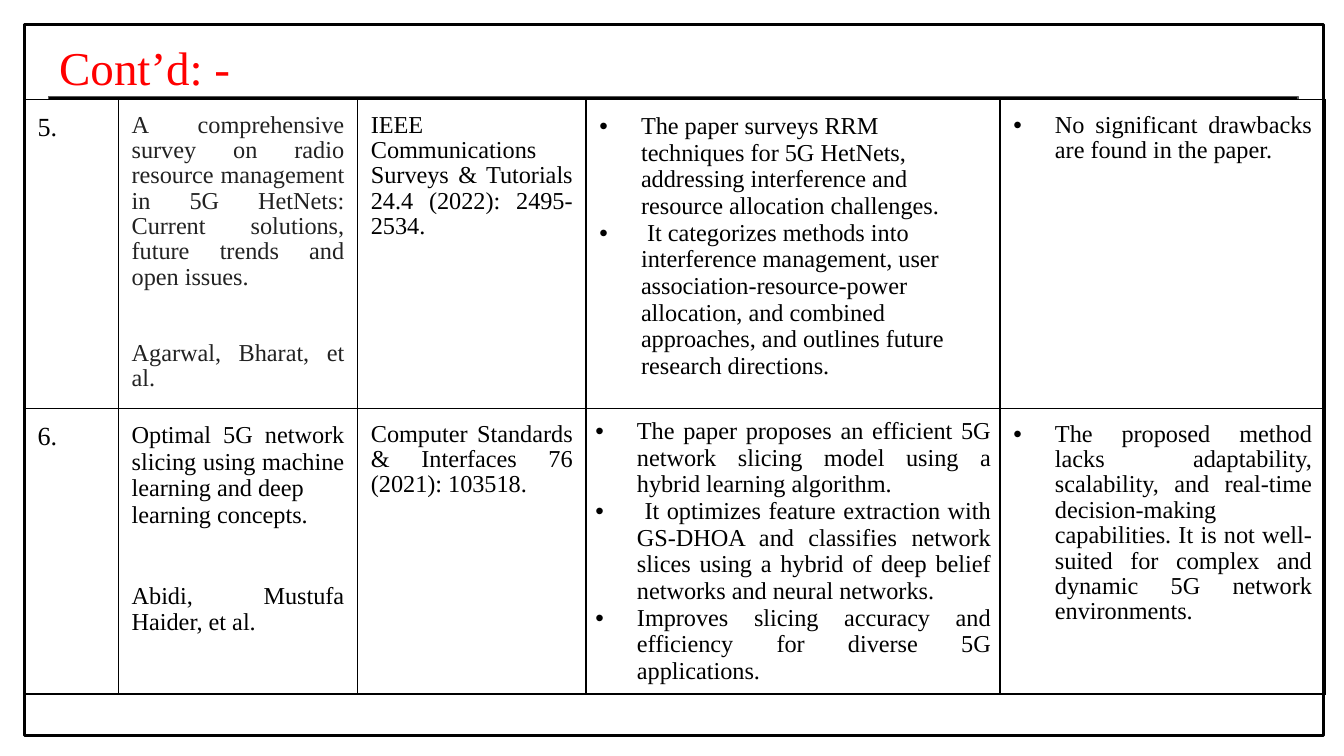
from lxml import etree
from pptx import Presentation
from pptx import util as u
from pptx.dml.color import RGBColor
from pptx.enum import shapes, text
from pptx.oxml import ns

BLACK = RGBColor(0x00, 0x00, 0x00)
DARK = RGBColor(0x22, 0x22, 0x22)
GRAY = RGBColor(0x59, 0x59, 0x59)
RED = RGBColor(0xFF, 0x00, 0x00)
FONT = "Times New Roman"
LEFT, JUSTIFY = text.PP_ALIGN.LEFT, text.PP_ALIGN.JUSTIFY
PAGE_WIDTH = 10
PAGE_HEIGHT = PAGE_WIDTH * 9 / 16

# Content: one dict per cell
TITLE = "Cont’d: -"
ROWS = [
    [
        {"lines": ["5."], "size": 14},
        {"lines": ["A comprehensive survey on radio resource management in 5G HetNets: "
                   "Current solutions, future trends and open issues.",
                   "Agarwal, Bharat, et al. "],
         "align": JUSTIFY, "spacing": 0.95, "color": DARK, "author_gap": 27},
        {"lines": ["IEEE Communications Surveys & Tutorials 24.4 (2022): 2495-2534."],
         "align": JUSTIFY, "spacing": 0.95, "after": 12},
        {"lines": ["The paper surveys RRM techniques for 5G HetNets, addressing "
                   "interference and resource allocation challenges.",
                   " It categorizes methods into interference management, user "
                   "association-resource-power allocation, and combined approaches, "
                   "and outlines future research directions."],
         "bullet": True},
        {"lines": ["No significant drawbacks are found in the paper."],
         "align": JUSTIFY, "spacing": 0.95, "after": 12, "bullet": True},
    ],
    [
        {"lines": ["6."], "size": 14},
        {"lines": ["Optimal 5G network slicing using machine learning and deep",
                   "learning concepts.",
                   "Abidi, Mustufa Haider, et al."],
         "align": JUSTIFY, "author_gap": 29},
        {"lines": ["Computer Standards & Interfaces 76 (2021): 103518."],
         "align": JUSTIFY, "spacing": 0.95, "after": 12},
        {"lines": ["The paper proposes an efficient 5G network slicing model using a "
                   "hybrid learning algorithm.",
                   " It optimizes feature extraction with GS-DHOA and classifies network "
                   "slices using a hybrid of deep belief networks and neural networks.",
                   "Improves slicing accuracy and efficiency for diverse 5G applications."],
         "align": JUSTIFY, "bullet": True, "margin": 0.07},
        {"lines": ["The proposed method lacks adaptability, scalability, and real-time "
                   "decision-making capabilities. It is not well-suited for complex and "
                   "dynamic 5G network environments."],
         "align": JUSTIFY, "spacing": 0.95, "after": 12, "bullet": True},
    ],
]
COLUMN_WIDTHS = [0.7, 1.78, 1.7, 3.08, 2.42]
ROW_HEIGHTS = [2.3, 2.05]


def style_runs(para, size, color):
    for span in para.runs:
        span.font.name = FONT
        span.font.size = u.Pt(size)
        span.font.color.rgb = color


def set_margins(target, inches):
    for side in ("left", "top", "right", "bottom"):
        setattr(target, f"margin_{side}", u.Inches(inches))


def add_bullet(para):
    props = para._p.get_or_add_pPr()
    props.set("marL", str(u.Inches(0.31)))
    props.set("indent", str(-u.Inches(0.31)))
    color = etree.SubElement(props, ns.qn("a:buClr"))
    etree.SubElement(color, ns.qn("a:srgbClr"), val=str(BLACK))
    etree.SubElement(props, ns.qn("a:buFont"), typeface="Arial")
    etree.SubElement(props, ns.qn("a:buChar"), char="•")


def add_borders(cell):
    props = cell._tc.get_or_add_tcPr()
    for index, side in enumerate(("lnL", "lnR", "lnT", "lnB")):
        line = etree.Element(ns.qn(f"a:{side}"), w=str(u.Pt(0.75)))
        fill = etree.SubElement(line, ns.qn("a:solidFill"))
        etree.SubElement(fill, ns.qn("a:srgbClr"), val=str(BLACK))
        props.insert(index, line)


def fill_cell(cell, content):
    cell.fill.background()
    add_borders(cell)
    set_margins(cell, content.get("margin", 0.1))
    cell.text_frame.text = "\n".join(content["lines"])
    paras = cell.text_frame.paragraphs
    for para in paras:
        para.alignment = content.get("align", LEFT)
        para.line_spacing = content.get("spacing", 1.0)
        para.space_after = u.Pt(content.get("after", 0))
        style_runs(para, content.get("size", 13), content.get("color", BLACK))
        if content.get("bullet"):
            add_bullet(para)
    if "author_gap" in content:
        paras[-1].space_before = u.Pt(content["author_gap"])


def add_box(page, left, top, width, height, line_color, line_width):
    box = page.shapes.add_shape(
        shapes.MSO_SHAPE.RECTANGLE,
        u.Inches(left), u.Inches(top), u.Inches(width), u.Inches(height))
    box.shadow.inherit = False
    box.fill.background()
    box.line.color.rgb = line_color
    box.line.width = u.Pt(line_width)
    return box


def main():
    deck = Presentation()
    deck.slide_width = u.Inches(PAGE_WIDTH)
    deck.slide_height = u.Inches(PAGE_HEIGHT)
    page = deck.slides.add_slide(deck.slide_layouts[5])

    # Title and the rule under it
    title = page.shapes.title
    title.left, title.top = u.Inches(0.34), u.Inches(0.18)
    title.width, title.height = u.Inches(9.32), u.Inches(0.63)
    frame = title.text_frame
    frame.text = TITLE
    frame.auto_size = text.MSO_AUTO_SIZE.NONE
    frame.vertical_anchor = text.MSO_ANCHOR.MIDDLE
    set_margins(frame, 0.1)
    frame.paragraphs[0].alignment = LEFT
    style_runs(frame.paragraphs[0], 25.2, RED)
    rule = add_box(page, 0.36, 0.72, 9.3, 0.02, GRAY, 0.75)
    rule.fill.solid()
    rule.fill.fore_color.rgb = BLACK

    # Literature table
    table = page.shapes.add_table(
        len(ROWS), len(COLUMN_WIDTHS), u.Inches(0.18), u.Inches(0.74),
        u.Inches(sum(COLUMN_WIDTHS)), u.Inches(sum(ROW_HEIGHTS))).table
    table.first_row = table.horz_banding = False
    for column, width in zip(table.columns, COLUMN_WIDTHS):
        column.width = u.Inches(width)
    for row, height, contents in zip(table.rows, ROW_HEIGHTS, ROWS):
        row.height = u.Inches(height)
        for cell, content in zip(row.cells, contents):
            fill_cell(cell, content)

    # Page frame
    add_box(page, 0.18, 0.18, 9.67, 5.29, BLACK, 1.5)

    deck.save("out.pptx")


if __name__ == "__main__":
    main()
